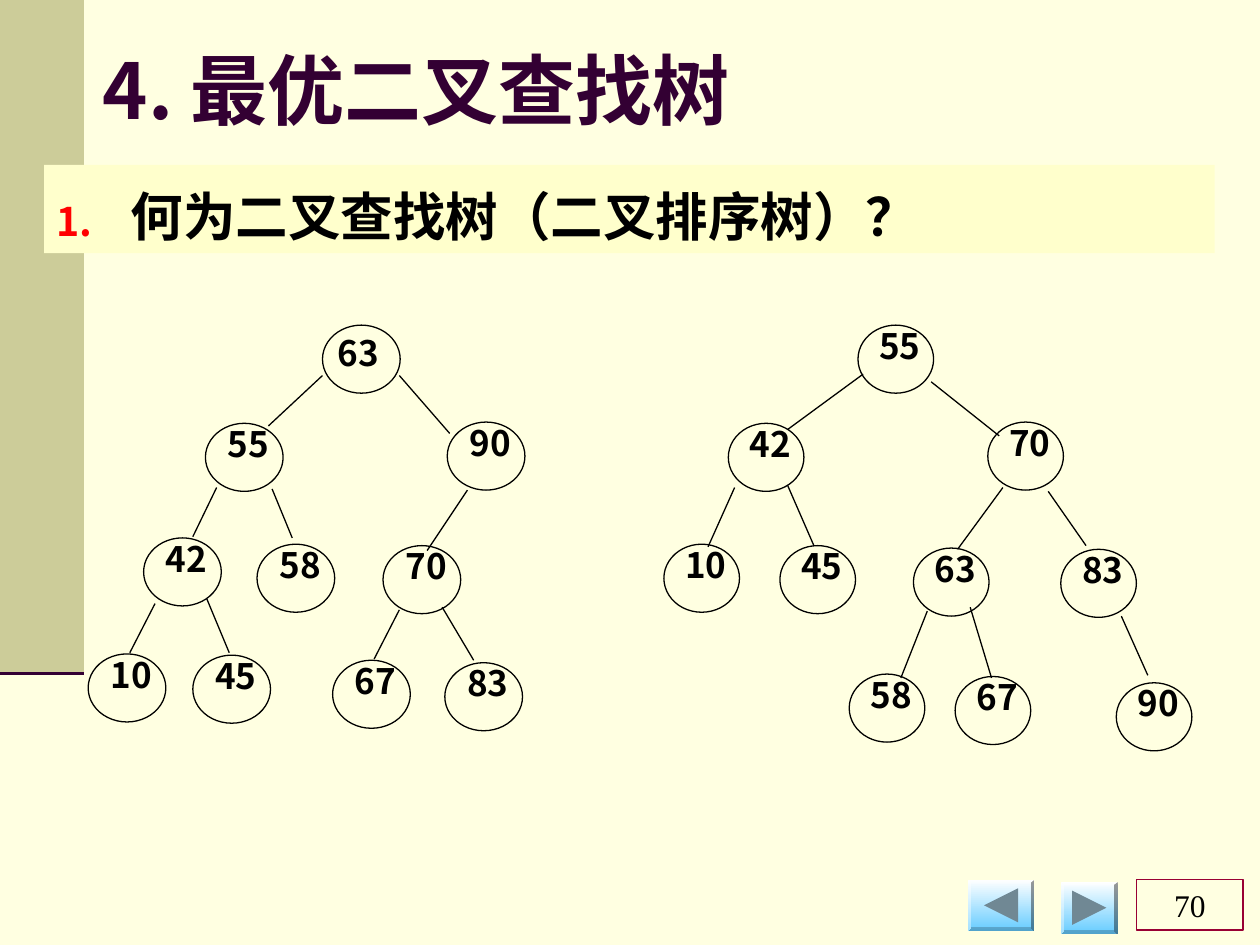
from lxml.etree import SubElement
from pptx import Presentation
from pptx.dml.color import RGBColor
from pptx.enum.shapes import MSO_CONNECTOR, MSO_SHAPE
from pptx.enum.text import MSO_ANCHOR, PP_ALIGN
from pptx.oxml.ns import qn
from pptx.util import Pt

COLORS = {
    "background": "FFFFE1", "band": "CCCC99", "title": "330033",
    "heading": "FFFFCC", "number": "FF0000", "ink": "000000",
    "page_border": "990033", "sky": "66CCFF", "white": "FFFFFF",
    "arrow": "708894",
}
SANS = "Noto Sans CJK SC"


def rgb(name):
    return RGBColor.from_string(COLORS[name])


def write(shape, text, size, color="ink", font=SANS, bold=True,
          align=PP_ALIGN.CENTER, anchor=MSO_ANCHOR.MIDDLE,
          insets=(7.2, 3.6, 7.2, 3.6), numbered=False):
    frame = shape.text_frame
    frame.word_wrap = True
    frame.vertical_anchor = anchor
    (frame.margin_left, frame.margin_top,
     frame.margin_right, frame.margin_bottom) = map(Pt, insets)
    paragraph = frame.paragraphs[0]
    paragraph.alignment = align
    paragraph.space_before = Pt(0)
    if numbered:
        paragraph.line_spacing = 1.2
        props = paragraph._p.get_or_add_pPr()
        props.set("marL", str(Pt(42.5)))
        props.set("indent", str(Pt(-42.5)))
        bullet_color = SubElement(props, qn("a:buClr"))
        SubElement(bullet_color, qn("a:srgbClr"), val=COLORS["number"])
        SubElement(props, qn("a:buSzPct"), val="75000")
        SubElement(props, qn("a:buFont"), typeface=font)
        SubElement(props, qn("a:buAutoNum"), type="arabicPeriod")
    run = paragraph.add_run()
    run.text = text
    run.font.size = Pt(size)
    run.font.bold = bold
    run.font.color.rgb = rgb(color)
    run.font.name = font
    SubElement(run._r.get_or_add_rPr(), qn("a:ea"), typeface=font)


prs = Presentation()
prs.slide_width, prs.slide_height = Pt(720), Pt(540)
slide = prs.slides.add_slide(prs.slide_layouts[5])
slide.background.fill.solid()
slide.background.fill.fore_color.rgb = rgb("background")
shapes = slide.shapes

# Tree edges and the rule under the side band: x1, y1, x2, y2, color, width
band_rule = [(0, 384, 48, 384, "title", 3.5)]
tree_edges = [(*ends, "ink", 0.75) for ends in [
    # left tree
    (184.3, 214.6, 153.4, 243.4), (228.2, 214.6, 257, 247.7),
    (123.8, 278.6, 110.2, 306.7), (155.5, 279.4, 167, 307.4),
    (267.1, 280.1, 244.1, 314.6), (88.6, 344.9, 74.2, 373),
    (118.1, 342, 131, 373), (228.2, 348.5, 213.8, 376.6),
    (252.7, 347, 270.7, 377.3),
    # right tree
    (493.2, 213.8, 450, 245.5), (532.1, 218.2, 571, 249.1),
    (419.8, 278.6, 404.6, 312.5), (450, 277.2, 465.1, 311.8),
    (573.1, 278.6, 547.2, 313.9), (599, 280.8, 620.6, 311.8),
    (529.9, 349.2, 514.8, 387.4), (554.4, 347, 566.6, 387.4),
    (640.8, 352.1, 655.9, 385.9),
]]
for x1, y1, x2, y2, color, width in band_rule + tree_edges:
    edge = shapes.add_connector(MSO_CONNECTOR.STRAIGHT,
                                Pt(x1), Pt(y1), Pt(x2), Pt(y2))
    edge.line.color.rgb = rgb(color)
    edge.line.width = Pt(width)
    SubElement(edge._element.spPr, qn("a:effectLst"))

# Side band, heading bar and page number box
panels = []
for left, top, width, height, fill, border in [
    (0, 0, 48, 384, "band", None),
    (25.2, 94.3, 668.9, 50.4, "heading", None),
    (649.4, 502.6, 77 - 16, 28.8, None, "page_border"),
]:
    panel = shapes.add_shape(MSO_SHAPE.RECTANGLE,
                             Pt(left), Pt(top), Pt(width), Pt(height))
    panel.shadow.inherit = False
    panel.fill.background()
    panel.line.fill.background()
    if fill:
        panel.fill.solid()
        panel.fill.fore_color.rgb = rgb(fill)
    if border:
        panel.line.color.rgb = rgb(border)
        panel.line.width = Pt(0.75)
    panels.append(panel)
side_band, heading, page_number = panels
write(heading, "何为二叉查找树（二叉排序树）？", 30,
      align=PP_ALIGN.JUSTIFY, numbered=True)
write(page_number, "70", 18, font="Times New Roman", bold=False)

# Title
title = shapes.title
title.left, title.top, title.width, title.height = map(Pt, (22, 20.2, 432, 60.5))
write(title, "4. 最优二叉查找树", 44, color="title")

# Tree nodes: value, left, top; each tree has its own node width
left_tree = [
    ("63", 184.3, 185.8), ("55", 117.4, 241.9), ("90", 255.6, 241.2),
    ("42", 82.1, 307.4), ("58", 146.9, 311), ("70", 218.9, 311.8),
    ("10", 50.4, 373.7), ("45", 110.2, 374.4), ("67", 190.1, 377.3),
    ("83", 254.2, 378.7),
]
right_tree = [
    ("55", 490.3, 185.8), ("42", 416.2, 241.9), ("70", 564.5, 241.2),
    ("10", 379.4, 311), ("45", 445.7, 311.8), ("63", 522, 313.2),
    ("83", 606.2, 313.9), ("58", 485.3, 385.2), ("67", 545.8, 386.6),
    ("90", 637.9, 390.2),
]
for tree, node_width in [(left_tree, 44.4), (right_tree, 43.2)]:
    for value, left, top in tree:
        node = shapes.add_shape(MSO_SHAPE.OVAL, Pt(left), Pt(top),
                                Pt(node_width), Pt(38.9))
        node.shadow.inherit = False
        node.fill.background()
        node.line.color.rgb = rgb("ink")
        node.line.width = Pt(0.75)
        # The left root has its value nearer the middle
        dx, dy = (2, -2) if (value, left, top) == left_tree[0] else (6, -6)
        key = shapes.add_textbox(Pt(left + dx), Pt(top + dy),
                                 Pt(node_width - 7.2), Pt(45.4))
        write(key, value, 20, anchor=MSO_ANCHOR.TOP,
              insets=(1.4, 5.5, 1.4, 0.7))

# Navigation buttons: place, then the arrow's back edge, tip and top
for left, top, width, back, tip, arrow_top in [
    (553, 502.6, 38.2, 581.8, 562.3, 507.6),
    (606.2, 504, 32.4, 612.7, 632.2, 509),
]:
    button = shapes.add_shape(MSO_SHAPE.BEVEL, Pt(left), Pt(top),
                              Pt(width), Pt(29.5))
    button.adjustments[0] = 0.07
    button.fill.gradient()
    button.fill.gradient_angle = 270
    for stop, color, position in zip(button.fill.gradient_stops,
                                     ("white", "sky"), (0, 1)):
        stop.color.rgb = rgb(color)
        stop.position = position
    outline = shapes.build_freeform(Pt(back), Pt(arrow_top))
    outline.add_line_segments([(Pt(tip), Pt(arrow_top + 9.75)),
                               (Pt(back), Pt(arrow_top + 19.5))])
    arrow = outline.convert_to_shape()
    arrow.fill.solid()
    arrow.fill.fore_color.rgb = rgb("arrow")
    for part in (button, arrow):
        part.shadow.inherit = False
        part.line.fill.background()

prs.save("out.pptx")
